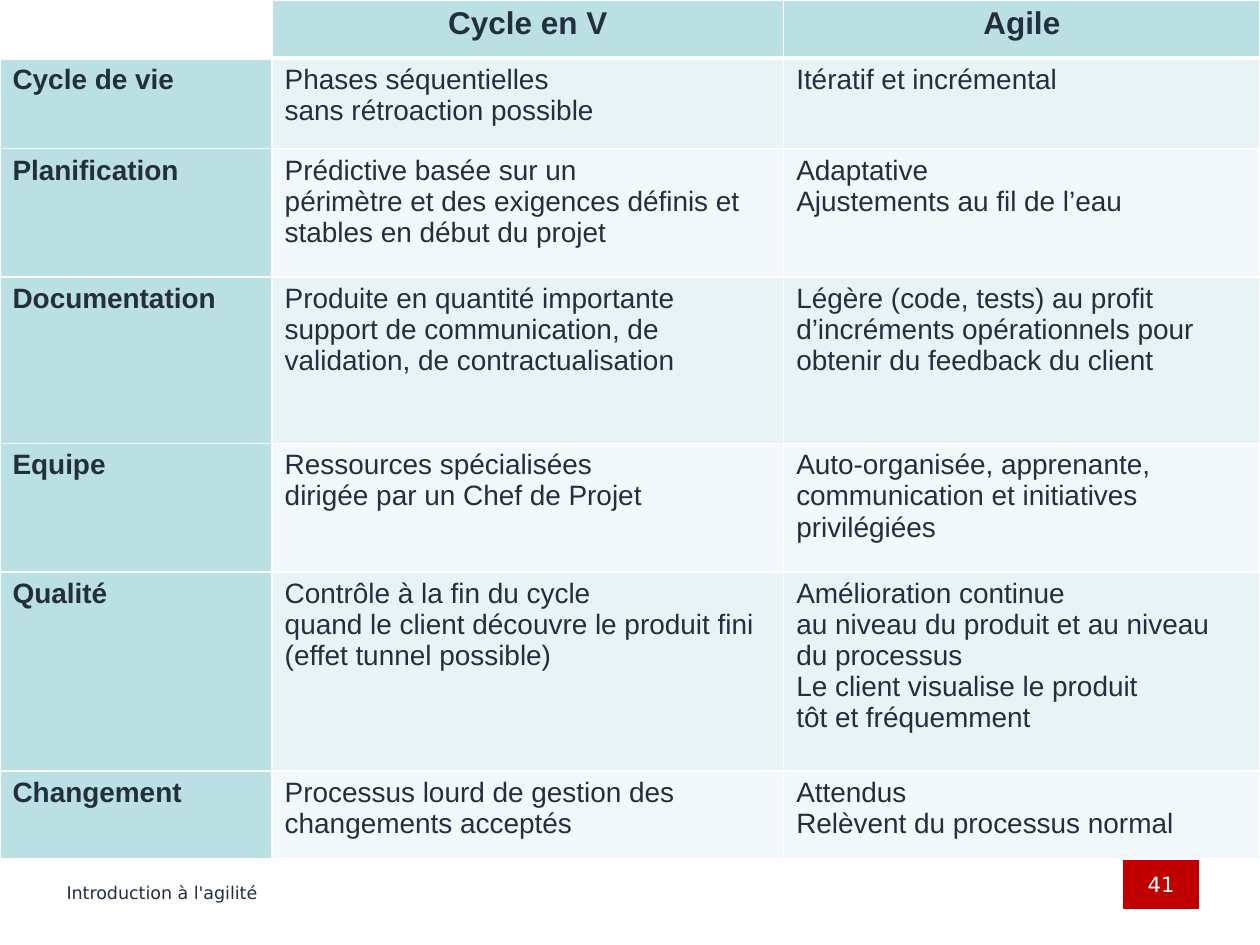
from dataclasses import dataclass

import pptx
import pptx.dml.color
import pptx.enum.shapes
import pptx.enum.text
import pptx.oxml.ns
import pptx.util
from lxml import etree

Inches = pptx.util.Inches
Pt = pptx.util.Pt
ALIGN = pptx.enum.text.PP_ALIGN
INK, WHITE, RED = "232F3F", "FFFFFF", "C00000"
HEADER_FILL = "BBE0E3"
BAND_FILLS = ("E7F3F4", "F3F9FA")
FOOTER_TOP = 6.82
COLUMN_WIDTHS = (2.16, 4.06, 3.78)


@dataclass
class Criterion:
    name: str
    v_cycle: str
    agile: str
    height: float


# "\n" starts a paragraph, "\v" a line inside the same paragraph
CRITERIA = [
    Criterion("Cycle de vie", "Phases séquentielles\nsans rétroaction possible",
              "Itératif et incrémental", 0.72),
    Criterion("Planification",
              "Prédictive basée sur un\npérimètre et des exigences définis et "
              "stables en début du projet",
              "Adaptative\nAjustements au fil de l’eau", 1.02),
    Criterion("Documentation",
              "Produite en quantité importante\vsupport de communication, de "
              "validation, de contractualisation",
              "Légère (code, tests) au profit d’incréments opérationnels pour "
              "obtenir du feedback du client", 1.32),
    Criterion("Equipe", "Ressources spécialisées\ndirigée par un Chef de Projet",
              "Auto-organisée, apprenante, communication et initiatives privilégiées",
              1.02),
    Criterion("Qualité",
              "Contrôle à la fin du cycle\nquand le client découvre le produit fini "
              "(effet tunnel possible)",
              "Amélioration continue\vau niveau du produit et au niveau du processus\n"
              "Le client visualise le produit\vtôt et fréquemment", 1.58),
    Criterion("Changement", "Processus lourd de gestion des changements acceptés",
              "Attendus\nRelèvent du processus normal", 0.7),
]


def color(value: str) -> pptx.dml.color.RGBColor:
    return pptx.dml.color.RGBColor.from_string(value)


def write_text(text_frame, text: str, size: float, font: str, ink: str = INK,
               bold: bool = False, align=ALIGN.LEFT) -> None:
    text_frame.text = text
    for paragraph in text_frame.paragraphs:
        paragraph.alignment = align
        for run in paragraph.runs:
            run.font.size = Pt(size)
            run.font.name = font
            run.font.bold = bold
            run.font.color.rgb = color(ink)


def add_borders(cell, top: float, bottom: float) -> None:
    properties = cell._tc.get_or_add_tcPr()
    for side, width in (("L", 1), ("R", 1), ("T", top), ("B", bottom)):
        line = etree.SubElement(properties, pptx.oxml.ns.qn(f"a:ln{side}"),
                                w=str(Pt(width)))
        fill = etree.SubElement(line, pptx.oxml.ns.qn("a:solidFill"))
        etree.SubElement(fill, pptx.oxml.ns.qn("a:srgbClr"), val=WHITE)


def add_comparison(slide) -> None:
    heights = [0.46] + [criterion.height for criterion in CRITERIA]
    rows = [("", "Cycle en V", "Agile")]
    rows += [(item.name, item.v_cycle, item.agile) for item in CRITERIA]
    table = slide.shapes.add_table(len(rows), len(COLUMN_WIDTHS), 0, 0,
                                   Inches(10), Inches(sum(heights))).table
    for column, width in zip(table.columns, COLUMN_WIDTHS):
        column.width = Inches(width)

    for r, texts in enumerate(rows):
        table.rows[r].height = Inches(heights[r])
        for c, text in enumerate(texts):
            cell = table.cell(r, c)
            is_header = r == 0 or c == 0
            if text:
                write_text(cell.text_frame, text, 18 if r == 0 else 16, "Arial",
                           bold=is_header, align=ALIGN.CENTER if r == 0 else ALIGN.LEFT)
            add_borders(cell, top=3 if r == 1 else 1, bottom=3 if r == 0 else 1)
            if r == c == 0:
                fill = WHITE
            else:
                fill = HEADER_FILL if is_header else BAND_FILLS[(r - 1) % 2]
            cell.fill.solid()
            cell.fill.fore_color.rgb = color(fill)


def add_footer(slide) -> None:
    # Rule above the footer
    rule = slide.shapes.add_connector(
        pptx.enum.shapes.MSO_CONNECTOR.STRAIGHT,
        Inches(0.43), Inches(FOOTER_TOP), Inches(9.51), Inches(FOOTER_TOP))
    rule.line.color.rgb = color("BE1218")
    rule.line.width = Pt(0.75)
    etree.SubElement(rule._element.spPr, pptx.oxml.ns.qn("a:effectLst"))

    # Page number
    badge = slide.shapes.add_shape(
        pptx.enum.shapes.MSO_SHAPE.RECTANGLE,
        Inches(8.92), Inches(FOOTER_TOP), Inches(0.59), Inches(0.39))
    badge.shadow.inherit = False
    badge.fill.solid()
    badge.fill.fore_color.rgb = color(RED)
    badge.line.color.rgb = color(RED)
    badge.line.width = Pt(0.75)
    write_text(badge.text_frame, "41", 12, "DejaVu Sans", WHITE, align=ALIGN.CENTER)

    # Course name
    label = slide.shapes.add_textbox(Inches(0.43), Inches(6.89), Inches(7.56), Inches(0.39))
    label.text_frame.word_wrap = True
    label.text_frame.vertical_anchor = pptx.enum.text.MSO_ANCHOR.MIDDLE
    write_text(label.text_frame, "Introduction à l'agilité", 10, "DejaVu Sans")


def main() -> None:
    presentation = pptx.Presentation()
    presentation.slide_width = Inches(10)
    presentation.slide_height = Inches(7.5)
    slide = presentation.slides.add_slide(presentation.slide_layouts[6])
    add_footer(slide)
    add_comparison(slide)
    presentation.save("out.pptx")


if __name__ == "__main__":
    main()
